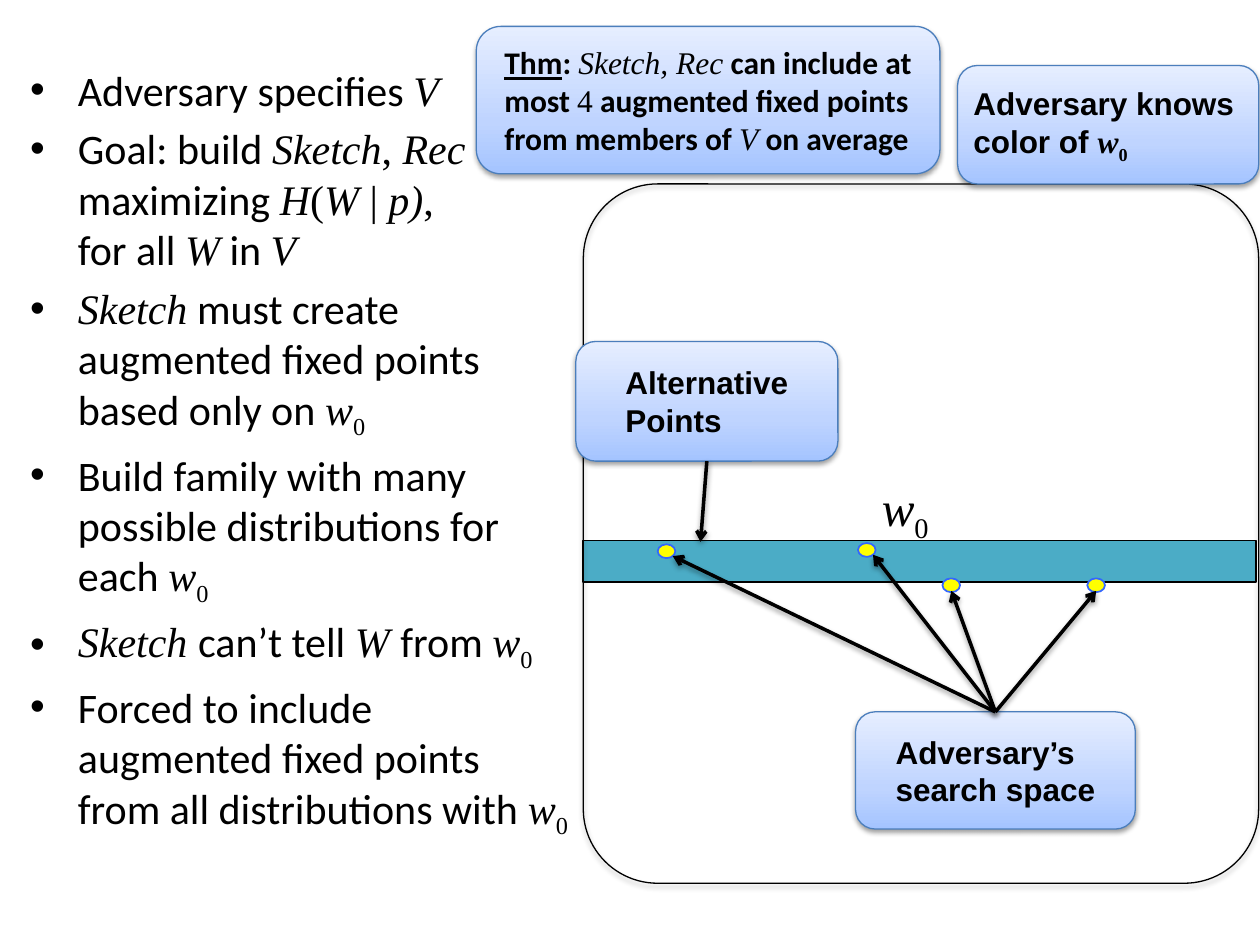
from dataclasses import dataclass
from typing import NamedTuple

from lxml.etree import SubElement
from pptx import Presentation
from pptx.dml.color import RGBColor
from pptx.enum.shapes import MSO_CONNECTOR, MSO_SHAPE
from pptx.enum.text import MSO_ANCHOR, PP_ALIGN
from pptx.oxml import parse_xml
from pptx.oxml.ns import nsdecls, qn
from pptx.util import Inches, Pt


@dataclass(frozen=True)
class Theme:
    black: str = "000000"
    bar: str = "4BACC6"
    dot: str = "FFFF00"
    dot_line: str = "3366FF"
    card_line: str = "4B7EBC"
    card_stops: tuple = ((0, "A4C4FF"), (35, "BFD4FF"), (100, "E6EEFF"))
    body_size: int = 24
    card_size: int = 18
    label_size: int = 28
    body_font: str = "Calibri"
    card_font: str = "Arial"
    math_font: str = "Times New Roman"


THEME = Theme()


class Span(NamedTuple):
    text: str
    font: str
    bold: bool = False
    italic: bool = False
    underline: bool = False
    subscript: bool = False


class Area(NamedTuple):
    left: float
    top: float
    width: float
    height: float

    def lengths(self) -> list:
        return [Inches(value) for value in self]


class Card(NamedTuple):
    area: Area
    spans: list


class Dot(NamedTuple):
    left: float
    top: float
    tip: tuple  # where the arrow touches, as fractions of the dot's size


def plain(text: str) -> Span:
    return Span(text, THEME.body_font)


def strong(text: str, font: str = THEME.body_font) -> Span:
    return Span(text, font, bold=True)


def upright(text: str) -> Span:
    return Span(text, THEME.math_font)


def math(text: str) -> Span:
    return Span(text, THEME.math_font, italic=True)


def w_zero(bold: bool = False) -> list:
    return [Span("w", THEME.math_font, bold, italic=True),
            Span("0", THEME.math_font, bold, subscript=True)]


DOT_WIDTH, DOT_HEIGHT = 0.14, 0.11
BOTTOM, LOWER_RIGHT = (0.5, 0.9), (0.85, 0.85)
DOTS = [Dot(7.48, 4.59, BOTTOM), Dot(8.63, 4.59, BOTTOM),
        Dot(5.22, 4.32, LOWER_RIGHT), Dot(6.81, 4.31, LOWER_RIGHT)]

THEOREM = Card(Area(3.78, 0.21, 3.68, 1.17), [
    Span("Thm", THEME.body_font, bold=True, underline=True), strong(": "),
    math("Sketch, Rec"), strong(" can include at most "), upright("4"),
    strong(" augmented fixed points from members of "), math("V"),
    strong(" on average")])
KNOWLEDGE = Card(Area(7.6, 0.52, 2.39, 0.94), [
    strong("Adversary knows \ncolor of ", THEME.card_font), *w_zero(bold=True)])
ALTERNATIVES = Card(Area(4.57, 2.71, 2.08, 0.95),
                    [strong("Alternative Points", THEME.card_font)])
SEARCH_SPACE = Card(Area(6.79, 5.65, 2.22, 0.93),
                    [strong("Adversary’s search space", THEME.card_font)])

BULLETS = [
    [plain("Adversary specifies "), math("V")],
    [plain("Goal: build "), math("Sketch"), upright(","), math(" Rec"),
     plain(" maximizing "), math("H"), upright("("), math("W"), upright(" | "),
     math("p)"), upright(", \n"), plain("for all "), math("W"), plain(" in "),
     math("V")],
    [math("Sketch"), plain(" must create augmented fixed points based only on "),
     *w_zero()],
    [plain("Build family with many possible distributions for each "), *w_zero()],
    [math("Sketch "), plain("can’t tell "), math("W "), plain("from "), *w_zero()],
    [plain("Forced to include augmented fixed points from all distributions with "),
     *w_zero()],
]


def write_spans(para, spans: list, size: int) -> None:
    para.alignment = PP_ALIGN.LEFT
    for item in spans:
        for number, line in enumerate(item.text.split("\n")):
            if number:
                para.add_line_break()
            if not line:
                continue
            span = para.add_run()
            span.text = line
            formats = {"name": item.font, "size": Pt(size), "bold": item.bold,
                       "italic": item.italic, "underline": item.underline}
            for name, value in formats.items():
                setattr(span.font, name, value)
            span.font.color.rgb = RGBColor.from_string(THEME.black)
            if item.subscript:
                span.font._element.set("baseline", "-25000")


def add_shadow(shape, alpha: int = 38, distance: float = 1.6) -> None:
    properties = shape._element.spPr
    for old in properties.findall(qn("a:effectLst")):
        properties.remove(old)
    properties.append(parse_xml(
        f'<a:effectLst {nsdecls("a")}><a:outerShdw blurRad="{Pt(3.1)}" '
        f'dist="{Pt(distance)}" dir="5400000" rotWithShape="0">'
        f'<a:srgbClr val="{THEME.black}"><a:alpha val="{alpha * 1000}"/></a:srgbClr>'
        '</a:outerShdw></a:effectLst>'))


def add_outlined(page, kind, area: Area, fill: str | None, line: str, weight: float):
    shape = page.shapes.add_shape(kind, *area.lengths())
    shape.shadow.inherit = False
    if fill:
        shape.fill.solid()
        shape.fill.fore_color.rgb = RGBColor.from_string(fill)
    else:
        shape.fill.background()
    shape.line.color.rgb = RGBColor.from_string(line)
    shape.line.width = Pt(weight)
    return shape


def add_card(page, card: Card):
    shape = add_outlined(page, MSO_SHAPE.ROUNDED_RECTANGLE, card.area, None,
                         THEME.card_line, 0.75)
    stops = "".join(f'<a:gs pos="{position * 1000}"><a:srgbClr val="{color}"/></a:gs>'
                    for position, color in THEME.card_stops)
    properties = shape._element.spPr
    properties.replace(properties.find(qn("a:noFill")), parse_xml(
        f'<a:gradFill {nsdecls("a")} rotWithShape="1"><a:gsLst>{stops}</a:gsLst>'
        '<a:lin ang="16200000" scaled="0"/></a:gradFill>'))
    add_shadow(shape)
    frame = shape.text_frame
    formats = {"word_wrap": True, "vertical_anchor": MSO_ANCHOR.MIDDLE}
    formats |= {f"margin_{side}": Inches(0.05)
                for side in ("left", "top", "right", "bottom")}
    for name, value in formats.items():
        setattr(frame, name, value)
    # The left-aligned lines are centred as one block.
    frame._txBody.bodyPr.set("anchorCtr", "1")
    write_spans(frame.paragraphs[0], card.spans, THEME.card_size)
    return shape


def add_arrow(page, card, side: int, end_x: float, end_y: float) -> None:
    """Draw an arrow from the middle of a card's side to a point."""
    end = Inches(end_x), Inches(end_y)
    arrow = page.shapes.add_connector(MSO_CONNECTOR.STRAIGHT, *end, *end)
    arrow.begin_connect(card, side)
    arrow.line.color.rgb = RGBColor.from_string(THEME.black)
    arrow.line.width = Pt(2)
    SubElement(arrow.line._get_or_add_ln(), qn("a:tailEnd"), type="arrow")
    add_shadow(arrow)


def add_bullets(page, area: Area) -> None:
    frame = page.shapes.add_textbox(*area.lengths()).text_frame
    frame.word_wrap = True
    for number, spans in enumerate(BULLETS):
        para = frame.add_paragraph() if number else frame.paragraphs[0]
        properties = para._p.get_or_add_pPr()
        properties.set("marL", str(Inches(0.38)))
        properties.set("indent", str(-Inches(0.38)))
        SubElement(properties, qn("a:buFont"), typeface="Arial")
        SubElement(properties, qn("a:buChar"), char="•")
        if number:
            para.space_before = Pt(0.2 * THEME.body_size)
        write_spans(para, spans, THEME.body_size)


def main() -> None:
    deck = Presentation()
    deck.slide_width, deck.slide_height = Inches(10), Inches(7.5)
    page = deck.slides.add_slide(deck.slide_layouts[6])

    add_outlined(page, MSO_SHAPE.RECTANGLE, Area(4.63, 4.29, 5.34, 0.33),
                 THEME.bar, THEME.black, 1)
    region = add_outlined(page, MSO_SHAPE.ROUNDED_RECTANGLE,
                          Area(4.63, 1.46, 5.36, 5.55), None, THEME.black, 0.75)
    region.adjustments[0] = 0.11
    add_shadow(region, alpha=35, distance=1.8)

    add_bullets(page, Area(0.14, 0.46, 4.49, 6.73))
    label = page.shapes.add_textbox(*Area(6.9, 3.74, 0.64, 0.57).lengths())
    label.text_frame.word_wrap = False
    write_spans(label.text_frame.paragraphs[0], w_zero(), THEME.label_size)

    add_card(page, THEOREM)
    add_card(page, KNOWLEDGE)
    alternatives = add_card(page, ALTERNATIVES)
    search_space = add_card(page, SEARCH_SPACE)

    add_arrow(page, alternatives, 2, 5.56, 4.3)
    for dot in DOTS:
        add_outlined(page, MSO_SHAPE.OVAL,
                     Area(dot.left, dot.top, DOT_WIDTH, DOT_HEIGHT),
                     THEME.dot, THEME.dot_line, 1)
        across, down = dot.tip
        add_arrow(page, search_space, 0, dot.left + across * DOT_WIDTH,
                  dot.top + down * DOT_HEIGHT)

    deck.save("out.pptx")


if __name__ == "__main__":
    main()
